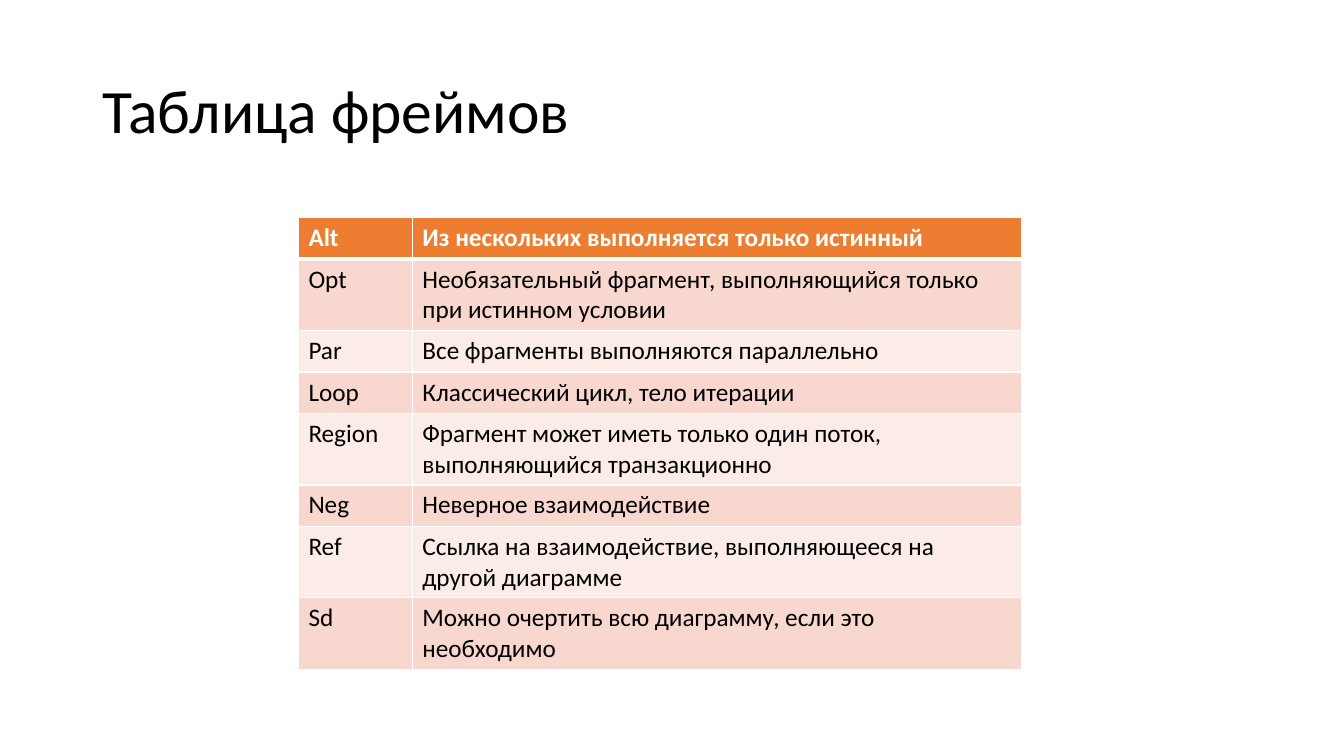
from lxml import etree
from pptx import Presentation
from pptx import util as u
from pptx.dml.color import RGBColor
from pptx.enum import text
from pptx.oxml.ns import qn

WIDTH, HEIGHT = 13.33, 7.5
FONT = "Calibri"
BLACK, WHITE, ORANGE = "000000", "FFFFFF", "ED7D31"
BANDS = ("FCECE8", "F8D7CE")
COLUMNS = (1.13, 6.04)
LINE_HEIGHTS = {1: 0.41, 2: 0.7}

FRAMES = [
    ("Alt", "Из нескольких выполняется только истинный", 1),
    ("Opt", "Необязательный фрагмент, выполняющийся только при истинном условии", 2),
    ("Par", "Все фрагменты выполняются параллельно", 1),
    ("Loop", "Классический цикл, тело итерации", 1),
    ("Region", "Фрагмент может иметь только один поток, выполняющийся транзакционно", 2),
    ("Neg", "Неверное взаимодействие", 1),
    ("Ref", "Ссылка на взаимодействие, выполняющееся на другой диаграмме", 2),
    ("Sd", "Можно очертить всю диаграмму, если это необходимо", 2),
]


def color(value):
    return RGBColor.from_string(value)


def write(frame, content, size=18, fill=BLACK, bold=False, spacing=None):
    frame.word_wrap = True
    paragraph = frame.paragraphs[0]
    paragraph.alignment = text.PP_ALIGN.LEFT
    paragraph.line_spacing = spacing
    run = paragraph.add_run()
    run.text = content
    run.font.name = FONT
    run.font.size = u.Pt(size)
    run.font.bold = bold
    run.font.color.rgb = color(fill)


def add_title(slide, content):
    title = slide.shapes.title
    title.left, title.top = u.Inches(0.92), u.Inches(0.4)
    title.width, title.height = u.Inches(11.5), u.Inches(1.45)
    title.text_frame.vertical_anchor = text.MSO_ANCHOR.MIDDLE
    write(title.text_frame, content, size=44, spacing=0.9)


def set_borders(cell, **widths):
    properties = cell._tc.get_or_add_tcPr()
    for side in "LRTB":
        line = etree.SubElement(properties, qn(f"a:ln{side}"), w=str(u.Pt(widths.get(side, 1))))
        fill = etree.SubElement(line, qn("a:solidFill"))
        etree.SubElement(fill, qn("a:srgbClr"), val=WHITE)


def format_cell(cell, content, row):
    header = row == 0
    set_borders(cell, T=3 if row == 1 else 1, B=3 if header else 1)
    cell.fill.solid()
    cell.fill.fore_color.rgb = color(ORANGE if header else BANDS[row % 2])
    write(cell.text_frame, content, fill=WHITE if header else BLACK, bold=header)


def add_frame_table(slide, left, top):
    heights = [LINE_HEIGHTS[lines] for _, _, lines in FRAMES]
    table = slide.shapes.add_table(
        len(FRAMES), len(COLUMNS), u.Inches(left), u.Inches(top),
        u.Inches(sum(COLUMNS)), u.Inches(sum(heights)),
    ).table
    for column, width in zip(table.columns, COLUMNS):
        column.width = u.Inches(width)
    for index, (name, meaning, _) in enumerate(FRAMES):
        table.rows[index].height = u.Inches(heights[index])
        for position, content in enumerate((name, meaning)):
            format_cell(table.cell(index, position), content, index)


def main():
    presentation = Presentation()
    presentation.slide_width = u.Inches(WIDTH)
    presentation.slide_height = u.Inches(HEIGHT)
    slide = presentation.slides.add_slide(presentation.slide_layouts[5])
    add_title(slide, "Таблица фреймов")
    add_frame_table(slide, left=2.96, top=2.16)
    presentation.save("out.pptx")


if __name__ == "__main__":
    main()
